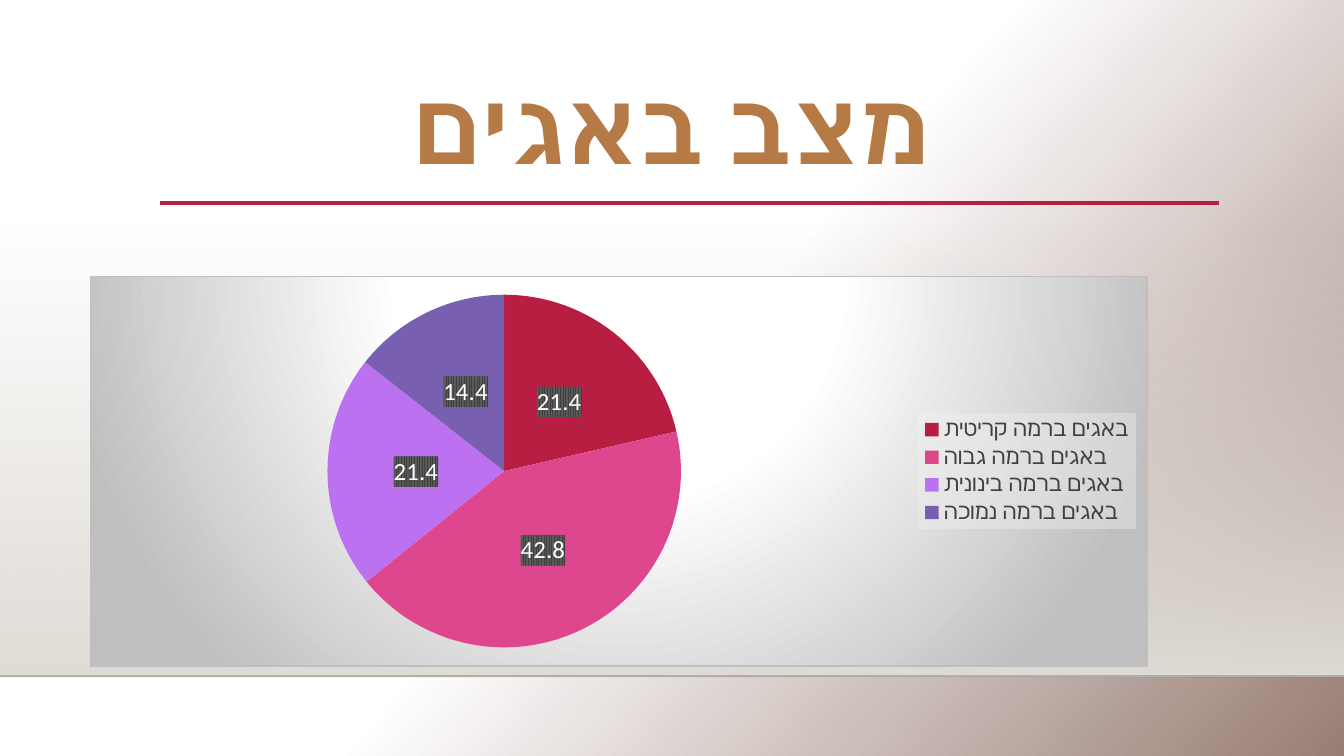
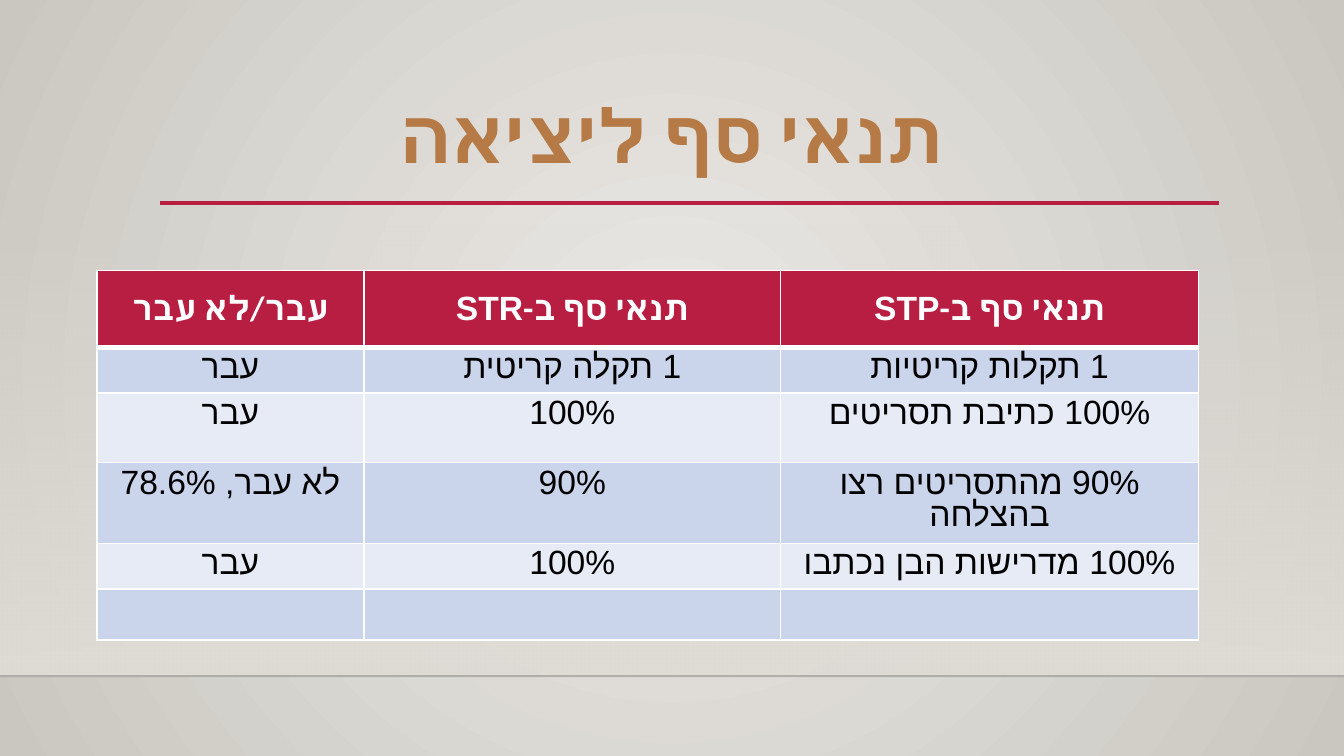
import lxml.etree
import pptx
import pptx.chart.data
import pptx.dml.color
import pptx.enum.chart
import pptx.enum.shapes
import pptx.enum.text
import pptx.oxml
import pptx.oxml.ns
import pptx.util
from dataclasses import dataclass
from pptx.util import Cm


@dataclass(frozen=True)
class Theme:
    title_font: str = "Calibri"
    table_font: str = "Arial"
    crimson: str = "B71E42"
    bronze: str = "B57A45"
    sand: str = "DFDBD5"
    white: str = "FFFFFF"
    black: str = "000000"
    grey: str = "BFBFBF"
    dark_grey: str = "404040"
    row_fills: tuple = ("CAD4EA", "E6EBF5")
    slices: tuple = ("B71E42", "DE478E", "BC72F0", "795FAF")
    chart_size: float = 10
    legend_size: float = 12
    label_size: float = 13.3
    table_size: float = 18


theme = Theme()
rgb = pptx.dml.color.RGBColor.from_string
qn = pptx.oxml.ns.qn
NAMESPACE = 'xmlns:a="http://schemas.openxmlformats.org/drawingml/2006/main"'
CHART_NAMESPACE = 'xmlns:c="http://schemas.openxmlformats.org/drawingml/2006/chart"'


def gradient(stops, direction):
    """Return a gradient fill; each stop is position, colour and opacity in percent."""
    stop_xml = "".join(
        f'<a:gs pos="{position * 1000}"><a:srgbClr val="{color}">'
        f'<a:alpha val="{opacity * 1000}"/></a:srgbClr></a:gs>'
        for position, color, opacity in stops
    )
    return pptx.oxml.parse_xml(
        f'<a:gradFill {NAMESPACE} rotWithShape="1"><a:gsLst>{stop_xml}</a:gsLst>{direction}</a:gradFill>'
    )


def style_paragraph(paragraph, size, color, bold, font, hebrew_font, spacing):
    """Centre a right-to-left paragraph and format its runs."""
    paragraph.alignment = pptx.enum.text.PP_ALIGN.CENTER
    paragraph.line_spacing = spacing
    paragraph._p.get_or_add_pPr().set("rtl", "1")
    for run in paragraph.runs:
        run.font.size = pptx.util.Pt(size)
        run.font.bold = bold
        run.font.name = font
        run.font.color.rgb = rgb(color)
        complex_font = lxml.etree.SubElement(run._r.get_or_add_rPr(), qn("a:cs"))
        complex_font.set("typeface", hebrew_font)


presentation = pptx.Presentation()
presentation.slide_width = Cm(25.4)
presentation.slide_height = Cm(14.29)

# Shared frame: background, fading band, two rules and the title
pages = [
    ("מצב באגים", 54, (0.15, 1.88, 25.1, 1.65),
     gradient([(15, theme.white, 100), (50, theme.white, 100), (100, "997E75", 100)],
              '<a:lin ang="2520000" scaled="0"/>')),
    ("תנאי סף ליציאה", 40, (1.27, 1.93, 22.86, 1.47),
     gradient([(0, "ECEAE7", 100), (100, "CAC7C1", 100)],
              '<a:path path="circle"><a:fillToRect l="50000" t="50000" r="50000" b="50000"/></a:path>')),
]
rules = [
    (0, 25.4, 12.78, "000001", 1, 20),
    (3.02, 23.04, 3.84, theme.crimson, 2.5, 100),
]
slides = []
for title, title_size, title_box, background in pages:
    slide = presentation.slides.add_slide(presentation.slide_layouts[6])
    slides.append(slide)
    slide.background.fill.solid()
    solid_fill = slide.background._cSld.find(".//" + qn("a:solidFill"))
    solid_fill.getparent().replace(solid_fill, background)

    band = slide.shapes.add_shape(
        pptx.enum.shapes.MSO_SHAPE.RECTANGLE, 0, Cm(4.22), Cm(25.4), Cm(8.56))
    band.shadow.inherit = False
    band.line.fill.background()
    band.fill.solid()
    solid_fill = band._element.spPr.find(qn("a:solidFill"))
    solid_fill.getparent().replace(solid_fill, gradient(
        [(0, theme.sand, 0), (100, theme.sand, 100)], '<a:lin ang="5400000" scaled="0"/>'))

    for left, right, top, color, width, opacity in rules:
        rule = slide.shapes.add_connector(
            pptx.enum.shapes.MSO_CONNECTOR.STRAIGHT, Cm(left), Cm(top), Cm(right), Cm(top))
        rule.line.width = pptx.util.Pt(width)
        rule.line.color.rgb = rgb(color)
        properties = rule._element.spPr
        alpha = lxml.etree.SubElement(properties.find(".//" + qn("a:srgbClr")), qn("a:alpha"))
        alpha.set("val", str(opacity * 1000))
        lxml.etree.SubElement(properties, qn("a:effectLst"))

    text_frame = slide.shapes.add_textbox(*[Cm(length) for length in title_box]).text_frame
    text_frame.word_wrap = True
    text_frame.vertical_anchor = pptx.enum.text.MSO_ANCHOR.BOTTOM
    text_frame.margin_left = text_frame.margin_right = text_frame.margin_bottom = 0
    text_frame.margin_top = Cm(0.13)
    text_frame.text = title
    style_paragraph(text_frame.paragraphs[0], title_size, theme.bronze, True,
                    theme.title_font, theme.title_font, 0.9)

status_slide, criteria_slide = slides

# Bug status: pie chart
chart_data = pptx.chart.data.CategoryChartData(number_format="0.0")
chart_data.categories = [
    "באגים ברמה קריטית", "באגים ברמה גבוה", "באגים ברמה בינונית", "באגים ברמה נמוכה"]
chart_data.add_series("Series 1", [21.4, 42.8, 21.4, 14.4])
chart = status_slide.shapes.add_chart(
    pptx.enum.chart.XL_CHART_TYPE.PIE, Cm(1.7), Cm(5.21), Cm(19.99), Cm(7.39), chart_data).chart
chart.has_title = False
chart.has_legend = True
legend = chart.legend
legend.position = pptx.enum.chart.XL_LEGEND_POSITION.RIGHT
legend.include_in_layout = False

plot = chart.plots[0]
plot.vary_by_categories = True
for index, color in enumerate(theme.slices):
    slice_fill = plot.series[0].points[index].format.fill
    slice_fill.solid()
    slice_fill.fore_color.rgb = rgb(color)
plot.has_data_labels = True
labels = plot.data_labels
labels.show_value = True
labels.show_percentage = False
labels.position = pptx.enum.chart.XL_LABEL_POSITION.CENTER

for font, size, color in [
    (chart.font, theme.chart_size, theme.black),
    (legend.font, theme.legend_size, theme.dark_grey),
    (labels.font, theme.label_size, theme.white),
]:
    font.name = theme.title_font
    font.size = pptx.util.Pt(size)
    font.bold = False
    font.color.rgb = rgb(color)

# Fills behind the chart, its legend and its labels
chart_fill = gradient(
    [(0, theme.white, 100), (39, theme.white, 100), (100, theme.grey, 100)],
    '<a:path path="circle"><a:fillToRect l="50000" t="-80000" r="50000" b="180000"/></a:path>')
legend_fill = pptx.oxml.parse_xml(
    f'<a:solidFill {NAMESPACE}><a:srgbClr val="F2F2F2"><a:alpha val="39000"/></a:srgbClr></a:solidFill>')
label_fill = pptx.oxml.parse_xml(
    f'<a:pattFill {NAMESPACE} prst="narVert"><a:fgClr><a:srgbClr val="{theme.dark_grey}"/></a:fgClr>'
    '<a:bgClr><a:srgbClr val="595959"/></a:bgClr></a:pattFill>')
border = f'<a:ln w="9525"><a:solidFill><a:srgbClr val="{theme.grey}"/></a:solidFill></a:ln>'
no_border = "<a:ln><a:noFill/></a:ln>"
for owner, fill, outline in [
    (chart._chartSpace, chart_fill, border),
    (legend._element, legend_fill, no_border),
    (labels._element, label_fill, no_border),
]:
    properties = pptx.oxml.parse_xml(f"<c:spPr {CHART_NAMESPACE} {NAMESPACE}>{outline}</c:spPr>")
    properties.insert(0, fill)
    owner.find(qn("c:txPr")).addprevious(properties)

# Exit criteria: table
rows = [
    ("עבר/לא עבר", "תנאי סף ב-STR", "תנאי סף ב-STP"),
    ("עבר", "1 תקלה קריטית", "1 תקלות קריטיות"),
    ("עבר", "100%", "100% כתיבת תסריטים"),
    ("לא עבר, 78.6%", "90%", "90% מהתסריטים רצו בהצלחה"),
    ("עבר", "100%", "100% מדרישות הבן נכתבו"),
    ("", "", ""),
]
column_widths = [5.05, 7.87, 7.9]
row_heights = [1.45, 0.81, 1.32, 0.81, 0.81, 0.81]
table = criteria_slide.shapes.add_table(
    len(rows), len(column_widths), Cm(1.83), Cm(5.11),
    Cm(sum(column_widths)), Cm(sum(row_heights))).table
for column, width in zip(table.columns, column_widths):
    column.width = Cm(width)
for row_index, (row, height) in enumerate(zip(rows, row_heights)):
    table.rows[row_index].height = Cm(height)
    header = row_index == 0
    for column_index, text in enumerate(row):
        cell = table.cell(row_index, column_index)
        cell.margin_left = cell.margin_right = Cm(0.25)
        cell.margin_top = cell.margin_bottom = Cm(0.1)
        cell.fill.solid()
        cell.fill.fore_color.rgb = rgb(theme.crimson if header else theme.row_fills[(row_index - 1) % 2])
        if header:
            cell.vertical_anchor = pptx.enum.text.MSO_ANCHOR.MIDDLE
        if text:
            cell.text_frame.text = text
            style_paragraph(
                cell.text_frame.paragraphs[0], theme.table_size,
                theme.white if header else theme.black, header, theme.table_font,
                theme.title_font if header else theme.table_font, 1 if header else 0.87)
        # White borders, heavier under the header
        heavy_side = {0: "B", 1: "T"}.get(row_index)
        for position, side in enumerate("LRTB"):
            width = pptx.util.Pt(3 if side == heavy_side else 1)
            cell._tc.get_or_add_tcPr().insert(position, pptx.oxml.parse_xml(
                f'<a:ln{side} {NAMESPACE} w="{width}"><a:solidFill>'
                f'<a:srgbClr val="{theme.white}"/></a:solidFill></a:ln{side}>'))

presentation.save("out.pptx")
